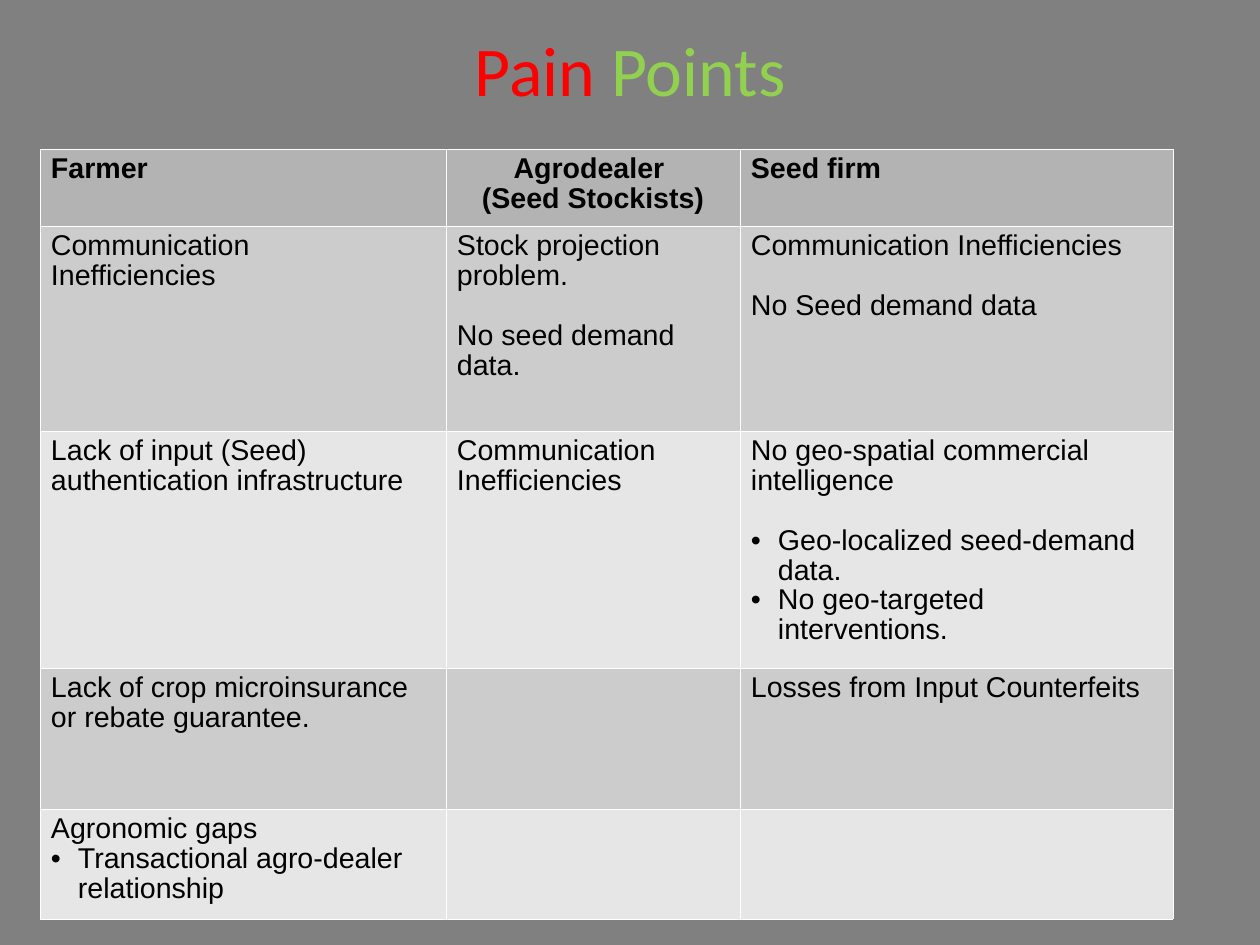
import collections

import lxml.etree
import pptx
import pptx.dml.color
import pptx.enum.text
import pptx.oxml.ns
import pptx.util

PX = 8000  # EMU per px
THEME = {
    "background": "808080",
    "title_red": "FF0000",
    "title_green": "92D050",
    "text": "000000",
    "border": "FFFFFF",
    "header": "B3B3B3",
    "bands": ["CCCCCC", "E6E6E6"],
    "title_font": "Calibri",
    "title_size": 44,
    "table_font": "Arial",
    "table_size": 18,
    "line_spacing": 0.93,
    "gap": 19,
}
BULLET_INDENT = 27
BORDER_EMU = 720

Line = collections.namedtuple("Line", "text bullet gap", defaults=(False, False))

ROWS = [
    [[Line("Farmer")], [Line("Agrodealer "), Line("(Seed Stockists)")], [Line("Seed firm")]],
    [
        [Line("Communication"), Line("Inefficiencies")],
        [Line("Stock projection problem."), Line("No seed demand data.", gap=True)],
        [Line("Communication Inefficiencies"), Line("No Seed demand data", gap=True)],
    ],
    [
        [Line("Lack of input (Seed) authentication infrastructure")],
        [Line("Communication"), Line("Inefficiencies")],
        [
            Line("No geo-spatial commercial intelligence"),
            Line("Geo-localized seed-demand data.", bullet=True, gap=True),
            Line("No geo-targeted interventions.", bullet=True),
        ],
    ],
    [
        [Line("Lack of crop microinsurance or rebate guarantee.")],
        [],
        [Line("Losses from Input Counterfeits")],
    ],
    [
        [Line("Agronomic gaps"), Line("Transactional agro-dealer relationship", bullet=True)],
        [],
        [],
    ],
]
COLUMN_WIDTHS = [406, 294, 433]
ROW_HEIGHTS = [77, 205, 237, 141, 110]


def add_run(paragraph, text, color, **font_format):
    run = paragraph.add_run()
    run.text = text
    run.font.color.rgb = pptx.dml.color.RGBColor.from_string(color)
    for name, value in font_format.items():
        setattr(run.font, name, value)


def add_element(parent, tag, **attributes):
    return lxml.etree.SubElement(parent, pptx.oxml.ns.qn(tag), attributes)


presentation = pptx.Presentation()
presentation.slide_width = 1260 * PX
presentation.slide_height = 945 * PX
slide = presentation.slides.add_slide(presentation.slide_layouts[5])
slide.background.fill.solid()
slide.background.fill.fore_color.rgb = pptx.dml.color.RGBColor.from_string(THEME["background"])

# Title
title = slide.shapes.title
for name, value in {"left": 63, "top": 27, "width": 1134, "height": 169}.items():
    setattr(title, name, value * PX)
frame_format = {
    "margin_top": 0,
    "margin_bottom": 0,
    "word_wrap": True,
    "auto_size": pptx.enum.text.MSO_AUTO_SIZE.NONE,
    "vertical_anchor": pptx.enum.text.MSO_ANCHOR.TOP,
}
for name, value in frame_format.items():
    setattr(title.text_frame, name, value)
title_paragraph = title.text_frame.paragraphs[0]
title_paragraph.alignment = pptx.enum.text.PP_ALIGN.CENTER
for text, color in [("Pain ", "title_red"), ("Points", "title_green")]:
    add_run(title_paragraph, text, THEME[color], name=THEME["title_font"],
            size=pptx.util.Pt(THEME["title_size"]))

# Table
table = slide.shapes.add_table(
    len(ROWS), len(COLUMN_WIDTHS), 40 * PX, 149 * PX,
    sum(COLUMN_WIDTHS) * PX, sum(ROW_HEIGHTS) * PX,
).table
table.first_row = False
table.horz_banding = False
for column, width in zip(table.columns, COLUMN_WIDTHS):
    column.width = width * PX
for row, height in zip(table.rows, ROW_HEIGHTS):
    row.height = height * PX

cell_margins = {"margin_left": 11, "margin_right": 11, "margin_top": 6, "margin_bottom": 6}
for row_index, row in enumerate(ROWS):
    is_header = row_index == 0
    fill_color = THEME["header"] if is_header else THEME["bands"][(row_index - 1) % 2]
    for column_index, lines in enumerate(row):
        cell = table.cell(row_index, column_index)
        for name, value in cell_margins.items():
            setattr(cell, name, value * PX)
        properties = cell._tc.get_or_add_tcPr()
        for side in "LRTB":
            border = add_element(properties, f"a:ln{side}", w=str(BORDER_EMU))
            add_element(add_element(border, "a:solidFill"), "a:srgbClr", val=THEME["border"])
        cell.fill.solid()
        cell.fill.fore_color.rgb = pptx.dml.color.RGBColor.from_string(fill_color)

        for line_index, line in enumerate(lines):
            frame = cell.text_frame
            paragraph = frame.add_paragraph() if line_index else frame.paragraphs[0]
            paragraph.line_spacing = THEME["line_spacing"]
            if is_header and column_index == 1:
                paragraph.alignment = pptx.enum.text.PP_ALIGN.CENTER
            if line.gap:
                paragraph.space_before = pptx.util.Pt(THEME["gap"])
            if line.bullet:
                paragraph_properties = paragraph._p.get_or_add_pPr()
                paragraph_properties.set("marL", str(BULLET_INDENT * PX))
                paragraph_properties.set("indent", str(-BULLET_INDENT * PX))
                bullet_color = add_element(paragraph_properties, "a:buClr")
                add_element(bullet_color, "a:srgbClr", val=THEME["text"])
                add_element(paragraph_properties, "a:buFont", typeface=THEME["table_font"])
                add_element(paragraph_properties, "a:buChar", char="•")
            add_run(paragraph, line.text, THEME["text"], name=THEME["table_font"],
                    size=pptx.util.Pt(THEME["table_size"]), bold=is_header)

presentation.save("out.pptx")
